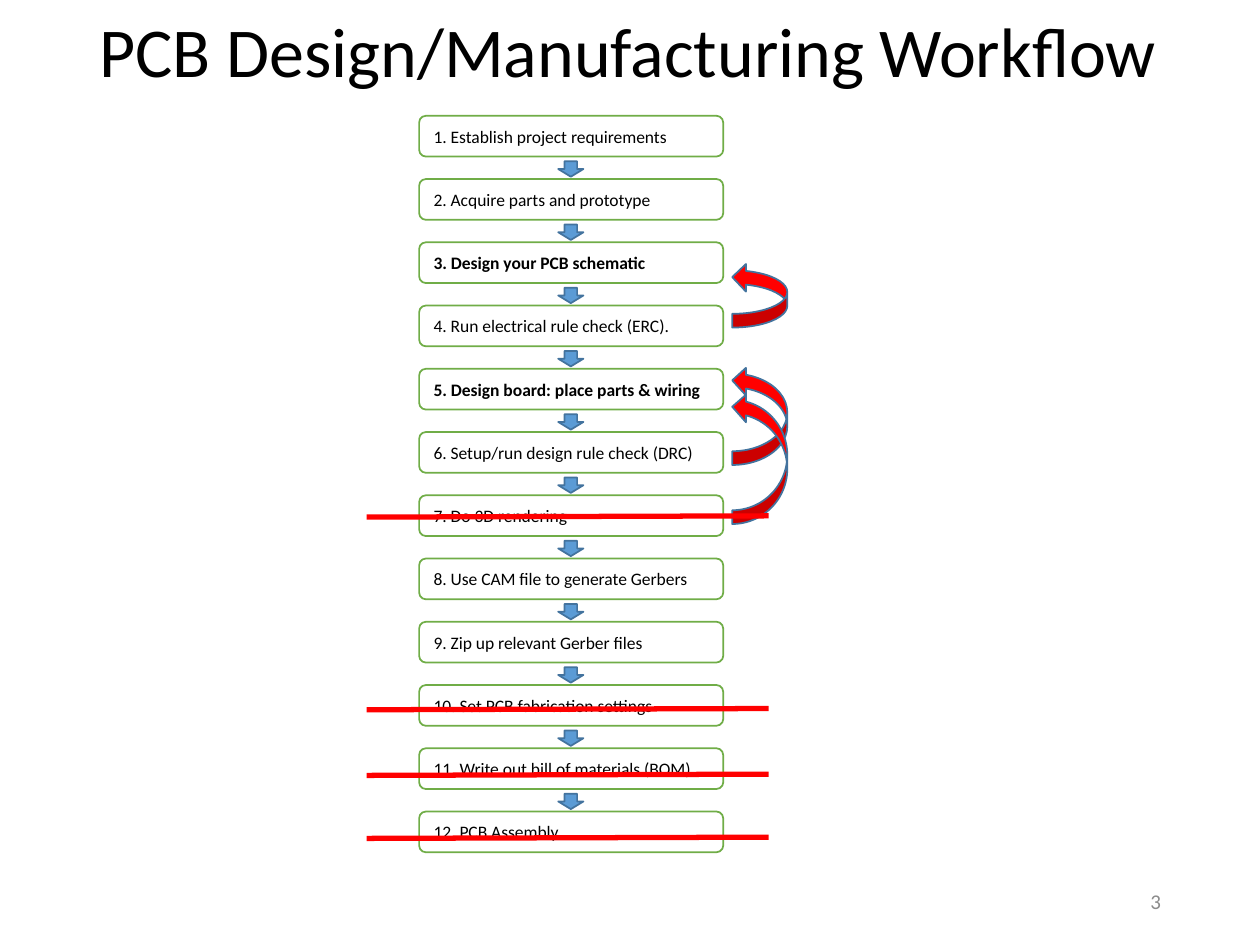
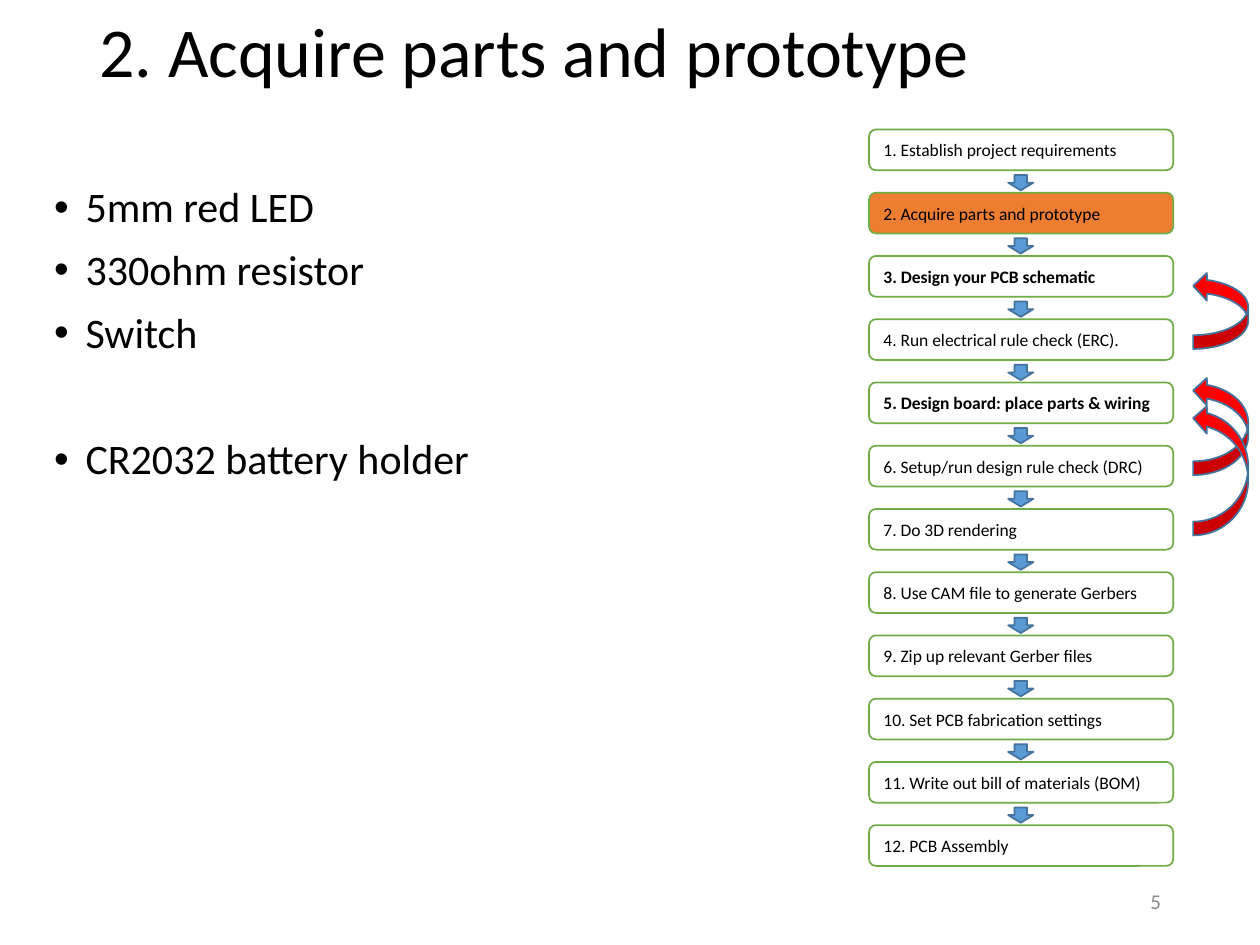
"""Build two slides on the PCB design and manufacturing workflow."""
import dataclasses

import lxml.etree
import pptx
import pptx.dml.color
import pptx.enum.shapes
import pptx.enum.text
import pptx.oxml.ns
import pptx.util

Pt = pptx.util.Pt
Shape = pptx.enum.shapes.MSO_SHAPE
Align = pptx.enum.text.PP_ALIGN
Anchor = pptx.enum.text.MSO_ANCHOR
qn = pptx.oxml.ns.qn


@dataclasses.dataclass(frozen=True)
class Theme:
    font: str = "Calibri"
    ink: str = "000000"
    paper: str = "FFFFFF"
    muted: str = "8C8C8C"
    step_line: str = "70AD47"
    highlight: str = "ED7D31"
    arrow: str = "5B9BD5"
    arrow_line: str = "43739E"
    alert: str = "FF0000"
    title_size: int = 40
    body_size: int = 24
    number_size: int = 12
    step_size: int = 10


theme = Theme()


def add_box(page, preset, left, top, width, height, fill, line):
    box = page.shapes.add_shape(preset, Pt(left), Pt(top), Pt(width), Pt(height))
    box.shadow.inherit = False
    box.fill.solid()
    box.fill.fore_color.rgb = pptx.dml.color.RGBColor.from_string(fill)
    box.line.color.rgb = pptx.dml.color.RGBColor.from_string(line)
    box.line.width = Pt(1)
    return box


def write(frame, text, size, color=theme.ink, align=Align.LEFT, bold=False):
    frame.word_wrap = True
    frame.auto_size = pptx.enum.text.MSO_AUTO_SIZE.NONE
    frame.vertical_anchor = Anchor.MIDDLE
    for index, line in enumerate(text.split("\n")):
        para = frame.add_paragraph() if index else frame.paragraphs[0]
        para.text = line
        para.alignment = align
        para.font.name = theme.font
        para.font.size = Pt(size)
        para.font.bold = bold
        para.font.color.rgb = pptx.dml.color.RGBColor.from_string(color)


steps = [
    "Establish project requirements",
    "Acquire parts and prototype",
    "Design your PCB schematic",
    "Run electrical rule check (ERC).",
    "Design board: place parts & wiring",
    "Setup/run design rule check (DRC)",
    "Do 3D rendering",
    "Use CAM file to generate Gerbers",
    "Zip up relevant Gerber files",
    "Set PCB fabrication settings",
    "Write out bill of materials (BOM)",
    "PCB Assembly",
]
key_steps = {3, 5}
step_pitch = 36.14
step_width, step_height = 173.8, 23.3

pages = [
    {
        "title": "PCB Design/Manufacturing Workflow",
        "number": "3",
        "flow_left": 239.5,
        "flow_top": 66.2,
        "loop_left": 418.4,
        "loops": [(150.5, 36.7), (209.5, 56.2), (224.6, 74.9)],
        "current": None,
        "strike_tops": [294.8, 442.4, 404.9, 478.4],
        "parts": [],
    },
    {
        "title": "2. Acquire parts and prototype",
        "number": "5",
        "flow_left": 496.6,
        "flow_top": 74,
        "loop_left": 681.8,
        "loops": [(155.5, 43.9), (215.3, 56.2), (231.1, 74.9)],
        "current": 2,
        "strike_tops": [],
        "parts": ["5mm red LED", "330ohm resistor", "Switch", "CR2032 battery holder"],
    },
]

deck = pptx.Presentation()
deck.slide_width, deck.slide_height = Pt(720), Pt(540)

for content in pages:
    page = deck.slides.add_slide(deck.slide_layouts[5])
    title = page.shapes.title
    title.left, title.top, title.width, title.height = Pt(49.5), Pt(0), Pt(621), Pt(62.6)
    write(title.text_frame, content["title"], theme.title_size)
    title.text_frame.paragraphs[0].line_spacing = 0.9

    flow_left, flow_top = content["flow_left"], content["flow_top"]
    for index, step in enumerate(steps):
        number = index + 1
        step_top = flow_top + index * step_pitch
        fill = theme.highlight if number == content["current"] else theme.paper
        box = add_box(page, Shape.ROUNDED_RECTANGLE, flow_left, step_top,
                      step_width, step_height, fill, theme.step_line)
        write(box.text_frame, f"{number}. {step}", theme.step_size, bold=number in key_steps)
        if number < len(steps):
            add_box(page, Shape.DOWN_ARROW, flow_left + 79.5, step_top + 26,
                    14.4, 8.8, theme.arrow, theme.arrow_line)

    for loop_top, loop_height in content["loops"]:
        loop = add_box(page, Shape.CURVED_LEFT_ARROW, content["loop_left"], loop_top,
                       31.5, loop_height, theme.alert, theme.arrow_line)
        loop._element.spPr.find(qn("a:xfrm")).set("flipV", "1")

    if content["parts"]:
        body = page.shapes.add_textbox(Pt(23.8), Pt(103), Pt(442), Pt(336.2)).text_frame
        write(body, "\n".join(content["parts"]), theme.body_size)
        body.vertical_anchor = Anchor.TOP
        for para in body.paragraphs:
            para.line_spacing = 0.9
            para.space_before = Pt(10)
            properties = para._p.get_or_add_pPr()
            properties.set("marL", str(Pt(18)))
            properties.set("indent", str(-Pt(18)))
            bullet_font = lxml.etree.Element(qn("a:buFont"), typeface="Arial")
            bullet = lxml.etree.Element(qn("a:buChar"), char="•")
            properties.find(qn("a:spcBef")).addnext(bullet_font)
            bullet_font.addnext(bullet)
        body.paragraphs[-1].space_before = Pt(46.4)

    page_number = page.shapes.add_textbox(Pt(508.5), Pt(500.5), Pt(162), Pt(28.8))
    write(page_number.text_frame, content["number"], theme.number_size, theme.muted, Align.RIGHT)

    for strike_top in content["strike_tops"]:
        strike = page.shapes.add_connector(
            pptx.enum.shapes.MSO_CONNECTOR.STRAIGHT,
            Pt(209.5), Pt(strike_top + 0.7), Pt(439.2), Pt(strike_top))
        strike.line.color.rgb = pptx.dml.color.RGBColor.from_string(theme.alert)
        strike.line.width = Pt(3)
        lxml.etree.SubElement(strike._element.spPr, qn("a:effectLst"))

deck.save("out.pptx")
